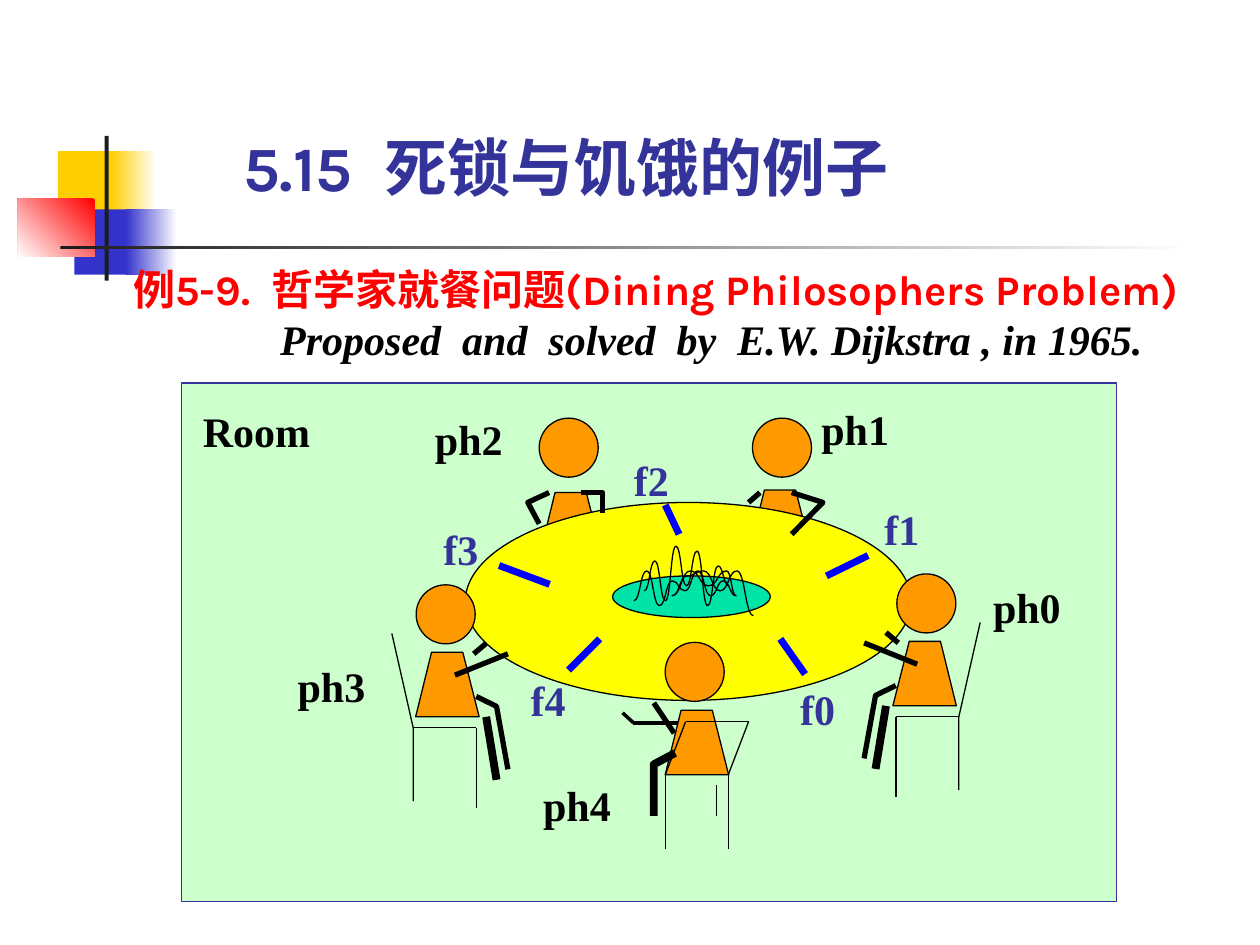
from dataclasses import dataclass
from itertools import pairwise

from lxml.etree import SubElement
from pptx import Presentation
from pptx.dml.color import RGBColor
from pptx.enum.shapes import MSO_CONNECTOR, MSO_SHAPE
from pptx.enum.text import MSO_ANCHOR
from pptx.oxml.ns import qn
from pptx.util import Cm, Pt

WHITE = RGBColor.from_string("FFFFFF")
BLACK = RGBColor.from_string("000000")
CHARCOAL = RGBColor.from_string("1C1C1C")
GOLD = RGBColor.from_string("FFCF01")
INDIGO = RGBColor.from_string("3333CC")
NAVY = RGBColor.from_string("333399")
RED = RGBColor.from_string("FF0000")
MINT = RGBColor.from_string("CCFFCC")
ORANGE = RGBColor.from_string("FF9900")
YELLOW = RGBColor.from_string("FFFF00")
TEAL = RGBColor.from_string("00E4A8")
BLUE = RGBColor.from_string("0000FF")

THIN, ARM, FORK, LEG = 0.75, 3, 4, 4.5
HEAD = 1.19

# Each strand is a chain of sweeps: first x, last x and evenly spaced heights
STRANDS = [
    [(0.64, 2.34, (0.3, -0.3, 0.5, -0.6, 0.2, -0.5, 0.6, -0.2, 0.2))],
    [(0.43, 2.49, (0.5, -0.1, 0.6, 0.1, 0.3, -0.1, 0.4, 0.1, 0.4)),
     (2.3, 1.2, (-0.1, 0.2, -0.1, 0.4)),
     (1.5, 2.84, (0, -0.1, 0.3, -0.1, 0.8))],
]


@dataclass
class Box:
    """A corner in cm; facing -1 mirrors its contents to the left."""
    left: float
    top: float
    facing: int = 1

    def point(self, x, y):
        return Cm(self.left + self.facing * x), Cm(self.top + y)

    def inside(self, x, y, facing=1):
        return Box(self.left + x, self.top + y, facing)


def style(shape, fill=None, line=None, width=THIN):
    shape.shadow.inherit = False
    if fill is None:
        shape.fill.background()
    else:
        shape.fill.solid()
        shape.fill.fore_color.rgb = fill
    if line is None:
        shape.line.fill.background()
    else:
        shape.line.color.rgb = line
        shape.line.width = Pt(width)
    return shape


def add_preset(page, box, kind, x, y, width, height, fill, line=None):
    if box.facing < 0:
        x += width
    shape = page.shapes.add_shape(kind, *box.point(x, y), Cm(width), Cm(height))
    return style(shape, fill, line)


def add_outline(page, box, points, fill=None, width=THIN, close=False):
    places = [box.point(*point) for point in points]
    builder = page.shapes.build_freeform(*places[0], scale=1.0)
    builder.add_line_segments(places[1:], close=close)
    return style(builder.convert_to_shape(), fill, BLACK, width)


def add_stroke(page, box, points, width=THIN, color=BLACK):
    """Draw a connector for two points, an open outline for more."""
    if len(points) > 2:
        return add_outline(page, box, points, width=width)
    start, end = (box.point(*point) for point in points)
    line = page.shapes.add_connector(MSO_CONNECTOR.STRAIGHT, *start, *end)
    line.line.color.rgb = color
    line.line.width = Pt(width)
    SubElement(line._element.spPr, qn("a:effectLst"))
    return line


def add_text(page, box, width, height, lines, anchor=MSO_ANCHOR.TOP):
    frame = page.shapes.add_textbox(*box.point(0, 0), Cm(width), Cm(height)).text_frame
    frame.word_wrap = True
    frame.vertical_anchor = anchor
    for side in ("left", "top", "right", "bottom"):
        setattr(frame, f"margin_{side}", 0)
    for index, (text, color, indent, form) in enumerate(lines):
        para = frame.add_paragraph() if index else frame.paragraphs[0]
        if indent:
            para._p.get_or_add_pPr().set("marL", str(Cm(indent)))
        span = para.add_run()
        span.text = text
        span.font.color.rgb = color
        for name, value in {"bold": True, "size": Pt(24), **form}.items():
            setattr(span.font, name, value)


def draw_ornament(page, box):
    # Colour, fade angle (None for solid), then place and size
    bars = [
        (GOLD, None, 0.81, 0.31, 1.22, 1.32), (GOLD, 0, 1.88, 0.31, 0.91, 1.32),
        (INDIGO, None, 1.14, 1.48, 1.17, 1.32), (INDIGO, 0, 2.18, 1.48, 1.02, 1.32),
        (RED, 225, 0, 1.27, 1.55, 1.17), (CHARCOAL, None, 1.75, 0, 0.08, 2.92),
        (CHARCOAL, 0, 0.86, 2.21, 22.86, 0.08),
    ]
    for color, angle, *place in bars:
        bar = add_preset(page, box, MSO_SHAPE.RECTANGLE, *place, color)
        if angle is not None:
            bar.fill.gradient()
            bar.fill.gradient_angle = angle
            for stop, shade in zip(bar.fill.gradient_stops, (color, WHITE)):
                stop.color.rgb = shade


def draw_head(page, box, x, y):
    add_preset(page, box, MSO_SHAPE.OVAL, x, y, HEAD, HEAD, ORANGE, BLACK)


def draw_torso(page, box, x, y):
    corners = [(x, y + 1.3), (x + 1.28, y + 1.3), (x + 0.95, y), (x + 0.32, y)]
    add_outline(page, box, corners, ORANGE, close=True)


def draw_side_philosopher(page, box):
    # Chair
    add_stroke(page, box, [(0, 0), (0.43, 1.9), (0.43, 3.38)])
    add_stroke(page, box, [(1.7, 1.9), (1.7, 3.51)])
    add_stroke(page, box, [(0.43, 1.9), (1.7, 1.9)])
    # Body, legs and arms
    draw_torso(page, box, 0.48, 0.38)
    draw_head(page, box, 0.49, -0.98)
    add_stroke(page, box, [(1.9, 1.68), (2.11, 2.95)], LEG)
    add_stroke(page, box, [(1.7, 1.27), (2.11, 1.47), (2.34, 2.74)], ARM)
    add_stroke(page, box, [(1.27, 0.84), (2.34, 0.41)], ARM)
    add_stroke(page, box, [(1.65, 0.41), (1.9, 0.2)], ARM)


def draw_front_philosopher(page, box):
    # Left arm and body
    add_stroke(page, box, [(-0.64, 0.25), (0.64, 0.25)], 2)
    add_stroke(page, box, [(-0.86, 0.05), (-0.64, 0.25)], 2)
    draw_torso(page, box, 0, 0)
    # Chair
    for x in (0, 1.27):
        add_stroke(page, box, [(x, 1.3), (x, 2.79)])
        add_stroke(page, box, [(x, 1.3), (x + 0.41, 0.23)])
    add_stroke(page, box, [(0.41, 0.23), (1.68, 0.23)])
    draw_head(page, box, 0, -1.37)
    for x, y in ((-0.23, 1.3), (1.04, 1.5)):
        add_stroke(page, box, [(x, y), (x, 2.13)])
    # Right arm and leg
    add_stroke(page, box, [(-0.23, -0.15), (0.18, 0.46)], ARM)
    add_stroke(page, box, [(0.2, 0.86), (-0.23, 1.09), (-0.23, 2.13)], LEG)


def draw_rear_philosopher(page, box, arms):
    draw_head(page, box, 0, 0)
    for arm in arms:
        add_stroke(page, box, arm, ARM)


def draw_plate(page, box):
    add_preset(page, box, MSO_SHAPE.OVAL, 0, 0, 3.18, 0.84, TEAL, BLACK)
    for strand in STRANDS:
        turns = [(first + (last - first) * i / (len(heights) - 1), y)
                 for first, last, heights in strand for i, y in enumerate(heights)]
        points = turns[:1]
        for (x, y), (next_x, next_y) in pairwise(turns):
            middle = (x + next_x) / 2
            points += [(middle, y), (middle, next_y), (next_x, next_y)]
        noodle = add_outline(page, box, points)
        # Turn every three straight segments into one curve
        segments = list(noodle._element.iter(qn("a:lnTo")))
        for bend, *others in zip(*[iter(segments)] * 3):
            bend.tag = qn("a:cubicBezTo")
            for segment in others:
                bend.append(segment[0])
                segment.getparent().remove(segment)


def draw_room(page, box):
    add_preset(page, box, MSO_SHAPE.RECTANGLE, 0, 0, 18.85, 10.46, MINT, NAVY)
    # The rear torsos are partly hidden by the table
    draw_torso(page, box, 7.21, 2.21)
    draw_torso(page, box, 11.43, 2.16)
    add_preset(page, box, MSO_SHAPE.OVAL, 5.72, 2.41, 8.99, 3.99, YELLOW, BLACK)
    draw_side_philosopher(page, box.inside(4.24, 5.05))
    draw_side_philosopher(page, box.inside(16.1, 4.83, facing=-1))
    draw_front_philosopher(page, box.inside(9.75, 6.6))
    draw_rear_philosopher(page, box.inside(11.51, 0.71), [
        [(0.79, 1.5), (1.42, 1.7), (0.79, 2.34)], [(0.15, 1.5), (-0.08, 1.7)]])
    draw_rear_philosopher(page, box.inside(7.21, 0.71), [
        [(0.2, 1.5), (-0.23, 1.7), (0, 2.13)], [(0.84, 1.5), (1.27, 1.5), (1.27, 1.91)]])
    draw_plate(page, box.inside(8.69, 3.89))
    # Forks f0 to f4
    for fork in ([(12.07, 5.16), (12.57, 5.87)], [(13.84, 3.48), (13, 3.89)],
                 [(9.75, 2.46), (10.03, 3.05)], [(6.4, 3.68), (7.42, 4.06)],
                 [(8.43, 5.16), (7.8, 5.79)]):
        add_stroke(page, box, fork, FORK, BLUE)
    # Labels
    philosophers = [(16.36, 4.01), (12.9, 0.41), (5.11, 0.61), (2.34, 5.59), (7.29, 8)]
    forks = [(12.47, 6.05), (14.17, 2.44), (9.12, 1.45), (5.28, 2.84), (7.04, 5.87)]
    labels = [("Room", BLACK, 2.26, (0.43, 0.46))]
    labels += [(f"ph{i}", BLACK, 1.78, place) for i, place in enumerate(philosophers)]
    labels += [(f"f{i}", NAVY, 1, place) for i, place in enumerate(forks)]
    for text, color, width, place in labels:
        add_text(page, box.inside(*place), width, 1.02,
                 [(text, color, 0, {"name": "Times New Roman"})])


def main():
    deck = Presentation()
    deck.slide_width, deck.slide_height = Cm(25.4), Cm(19.05)
    page = deck.slides.add_slide(deck.slide_layouts[6])
    draw_ornament(page, Box(0.36, 2.74))
    add_text(page, Box(4.9, 2.59), 14.6, 1.52, [
        ("5.15  死锁与饥饿的例子", NAVY, 0, {"name": "Karla", "size": Pt(36)})],
        MSO_ANCHOR.BOTTOM)
    add_text(page, Box(2.69, 5.31), 22.4, 2.03, [
        ("例5-9.  哲学家就餐问题(Dining Philosophers Problem)", RED, 0, {"name": "Karla"}),
        ("Proposed  and  solved  by  E.W. Dijkstra , in 1965.", BLACK, 2.96,
         {"name": "Times New Roman", "italic": True})])
    draw_room(page, Box(3.66, 7.72))
    deck.save("out.pptx")


if __name__ == "__main__":
    main()
